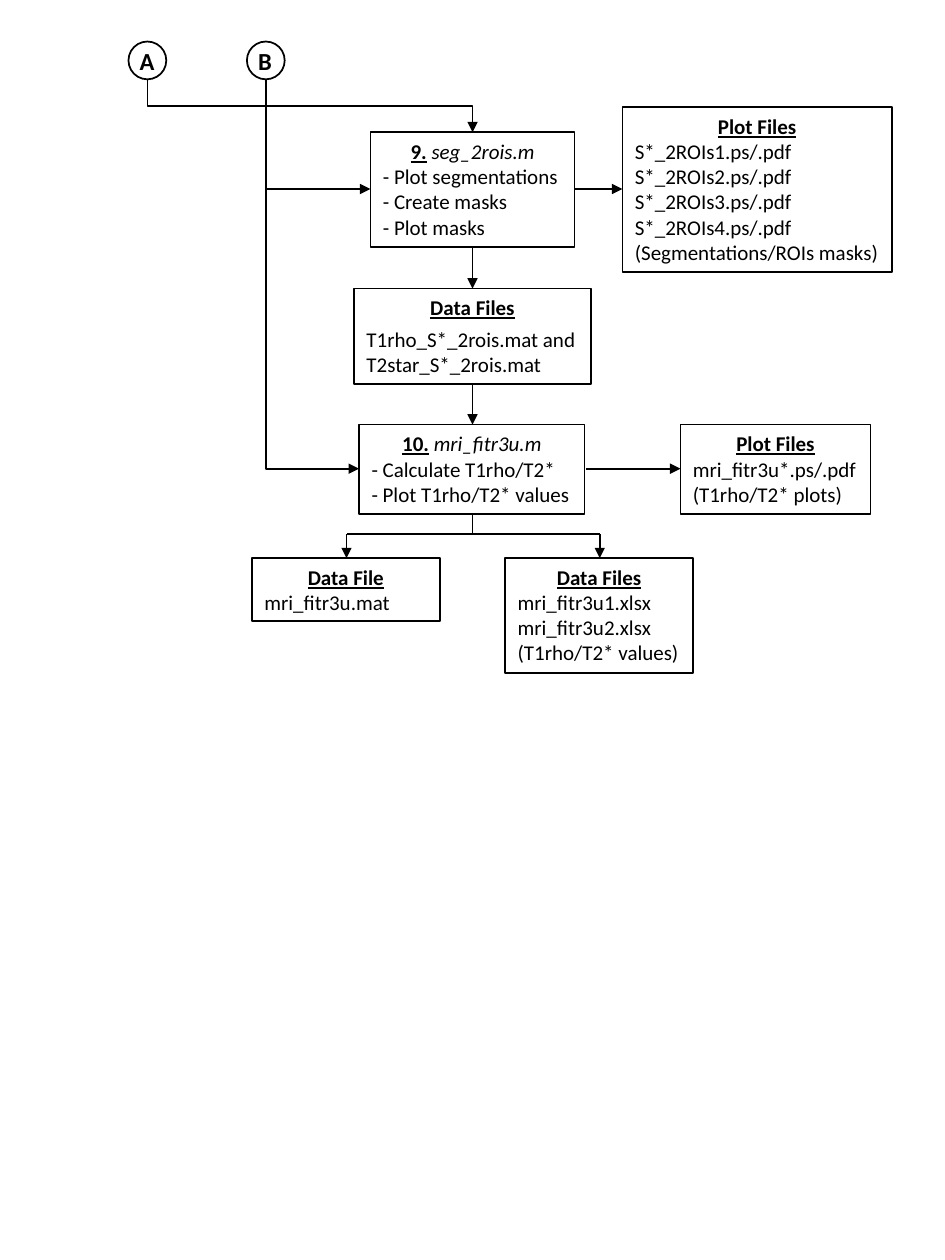
from dataclasses import dataclass
from pptx import Presentation
from pptx import util as u
from pptx.dml.color import RGBColor
from pptx.enum import shapes, text
from pptx.oxml import parse_xml
from pptx.oxml.ns import nsdecls, qn


@dataclass
class Theme:
    ink: RGBColor = RGBColor(0, 0, 0)
    font: str = "Calibri"
    body: u.Pt = u.Pt(12)
    letter: u.Pt = u.Pt(14)
    line: u.Pt = u.Pt(1)


theme = Theme()
deck = Presentation()
deck.slide_width, deck.slide_height = u.Inches(7.5), u.Inches(10)
page = deck.slides.add_slide(deck.slide_layouts[6])

# Shared columns and rows of the flow chart, in inches
main_x, a_x, b_x = 3.75, 1.17, 2.11
left_x, right_x = 2.75, 4.76
seg_y, fit_y, split_y = 1.5, 3.72, 4.24
circle_top, circle_size = 0.33, 0.3
circle_end = circle_top + circle_size


def style(para, size, bold=False):
    font = para.font
    font.name, font.size, font.bold = theme.font, size, bold
    font.color.rgb = theme.ink


def connect(start, end, arrow=True, kind=shapes.MSO_CONNECTOR.STRAIGHT):
    link = page.shapes.add_connector(kind, *[u.Inches(n) for n in (*start, *end)])
    link.line.color.rgb, link.line.width = theme.ink, theme.line
    if arrow:
        link.line._get_or_add_ln().append(
            parse_xml(f'<a:tailEnd {nsdecls("a")} type="triangle"/>'))
    link._element.spPr.append(parse_xml(f'<a:effectLst {nsdecls("a")}/>'))
    return link


# Boxes: place, wrapping, heading (underlined, italic), lines, gap below heading
boxes = [
    ((2.94, 1.05, 1.62, 0.91), False, ("9.", "seg_2rois.m"),
     ["- Plot segmentations", "- Create masks", "- Plot masks"], 0),
    ((2.81, 2.29, 1.88, 0.76), False, ("Data Files", ""),
     ["T1rho_S*_2rois.mat and", "T2star_S*_2rois.mat"], 3.6),
    ((4.94, 0.85, 2.14, 1.31), True, ("Plot Files", ""),
     [f"S*_2ROIs{n}.ps/.pdf" for n in range(1, 5)] + ["(Segmentations/ROIs masks)"], 0),
    ((2.85, 3.37, 1.79, 0.71), False, ("10.", "mri_fitr3u.m"),
     ["- Calculate T1rho/T2*", "- Plot T1rho/T2* values"], 0),
    ((5.4, 3.37, 1.51, 0.71), False, ("Plot Files", ""),
     ["mri_fitr3u*.ps/.pdf", "(T1rho/T2* plots)"], 0),
    ((4.01, 4.43, 1.49, 0.91), False, ("Data Files", ""),
     ["mri_fitr3u1.xlsx", "mri_fitr3u2.xlsx", "(T1rho/T2* values)"], 0),
    ((2, 4.43, 1.49, 0.5), True, ("Data File", ""), ["mri_fitr3u.mat"], 0),
]
for place, wrap, (label, script), lines, gap in boxes:
    box = page.shapes.add_textbox(*[u.Inches(n) for n in place])
    box.line.color.rgb, box.line.width = theme.ink, theme.line
    frame = box.text_frame
    frame.word_wrap, frame.auto_size = wrap, text.MSO_AUTO_SIZE.SHAPE_TO_FIT_TEXT
    heading = frame.paragraphs[0]
    heading.alignment = text.PP_ALIGN.CENTER
    heading.space_after = u.Pt(gap)
    style(heading, theme.body)
    span = heading.add_run()
    span.text, span.font.bold, span.font.underline = label, True, True
    if script:
        heading.add_run().text = " "
        span = heading.add_run()
        span.text, span.font.italic = script, True
    for line in lines:
        para = frame.add_paragraph()
        para.text = line
        style(para, theme.body)

# Straight arrows and the split below step 10
for start, end, arrow in [
    ((main_x, 1.96), (main_x, 2.29), True),
    ((main_x, 3.05), (main_x, 3.37), True),
    ((b_x, seg_y), (2.94, seg_y), True),
    ((4.56, seg_y), (4.94, seg_y), True),
    ((4.65, fit_y), (5.4, fit_y), True),
    ((main_x, 4.08), (main_x, split_y), False),
    ((main_x, split_y), (left_x, split_y), False),
    ((main_x, split_y), (right_x, split_y), False),
    ((left_x, split_y), (left_x, 4.43), True),
    ((right_x, split_y), (right_x, 4.43), True),
]:
    connect(start, end, arrow)

# Elbows leave the circles downwards: a turned, flipped frame about the same centre
for start_x, (end_x, end_y), preset in [
    (a_x, (main_x, 1.05), "bentConnector3"),
    (b_x, (2.85, fit_y), "bentConnector2"),
]:
    across, down = end_x - start_x, end_y - circle_end
    mid_x, mid_y = (start_x + end_x) / 2, (circle_end + end_y) / 2
    elbow = connect((mid_x - down / 2, mid_y - across / 2),
                    (mid_x + down / 2, mid_y + across / 2),
                    kind=shapes.MSO_CONNECTOR.ELBOW)
    properties = elbow._element.spPr
    properties.find(qn("a:prstGeom")).set("prst", preset)
    frame = properties.find(qn("a:xfrm"))
    frame.set("rot", str(270 * 60000))
    frame.set("flipH", "1")

# Lettered circles
for letter, center_x in [("A", a_x), ("B", b_x)]:
    group = page.shapes.add_group_shape()
    box = group.shapes.add_textbox(u.Inches(center_x - 0.16), u.Inches(0.31),
                                   u.Inches(0.32), u.Inches(0.34))
    frame = box.text_frame
    frame.word_wrap, frame.auto_size = False, text.MSO_AUTO_SIZE.SHAPE_TO_FIT_TEXT
    frame.vertical_anchor = text.MSO_ANCHOR.MIDDLE
    frame.text = letter
    style(frame.paragraphs[0], theme.letter, True)
    circle = group.shapes.add_shape(
        shapes.MSO_SHAPE.OVAL, u.Inches(center_x - circle_size / 2),
        u.Inches(circle_top), u.Inches(circle_size), u.Inches(circle_size))
    circle.shadow.inherit = False
    circle.fill.background()
    circle.line.color.rgb, circle.line.width = theme.ink, theme.line

deck.save("out.pptx")
